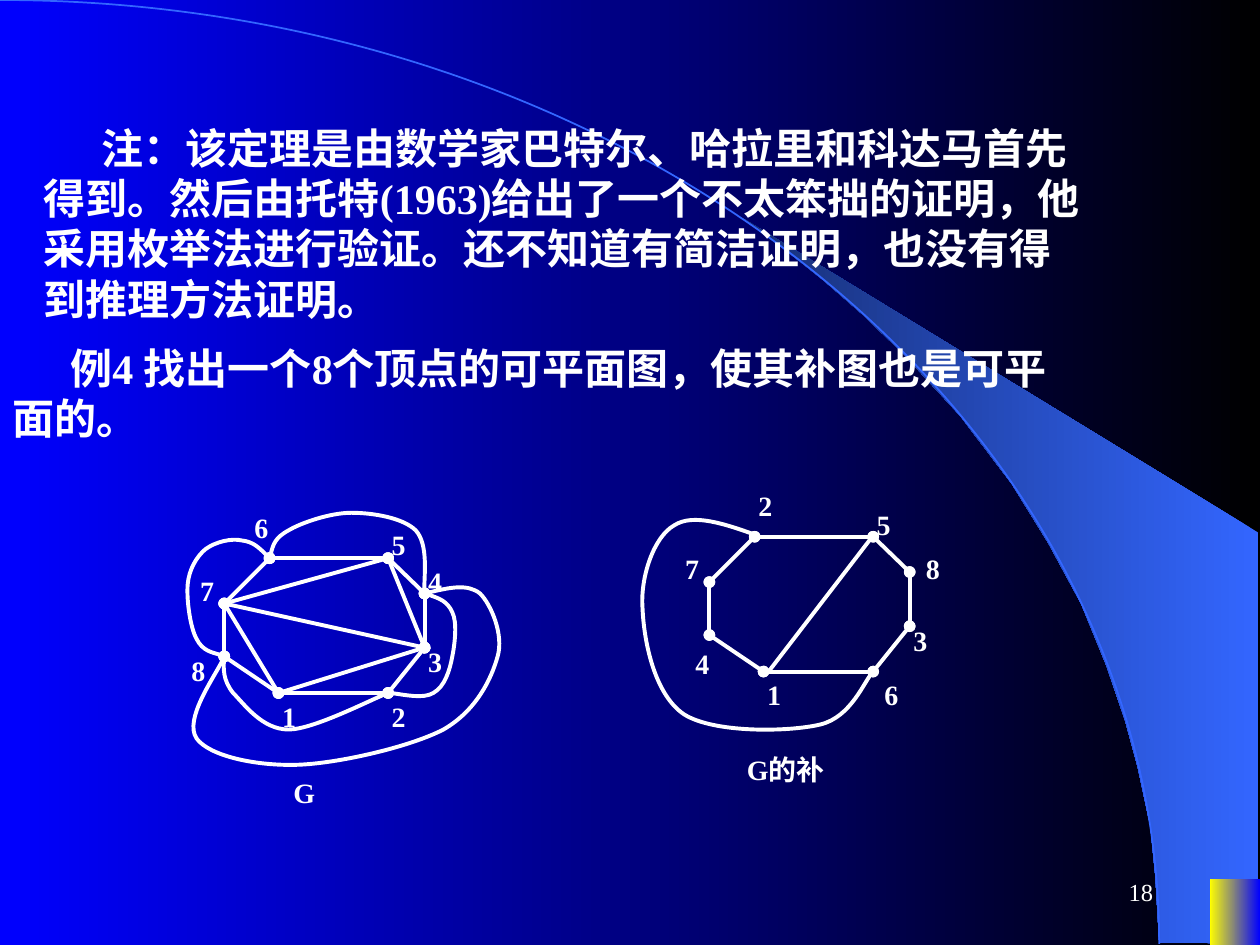
from pptx import Presentation
from pptx.dml.color import RGBColor
from pptx.enum.shapes import MSO_CONNECTOR, MSO_SHAPE
from pptx.enum.text import MSO_ANCHOR, PP_ALIGN
from pptx.oxml.ns import qn
from pptx.util import Inches, Pt
from lxml import etree

LINE, RECT = MSO_CONNECTOR.STRAIGHT, MSO_SHAPE.RECTANGLE
MIDDLE, LEFT, RIGHT = MSO_ANCHOR.MIDDLE, PP_ALIGN.LEFT, PP_ALIGN.RIGHT
WHITE = RGBColor(255, 255, 255)
BLACK = RGBColor(0, 0, 0)
BLUE = RGBColor(0, 0, 255)
YELLOW = RGBColor(255, 255, 0)
SKY = RGBColor(0x33, 0x66, 0xFF)
NAVY = RGBColor(0x17, 0x2F, 0x75)
FACE = "Times New Roman"
BODY = {"name": FACE, "size": Pt(24), "bold": True}
LABEL = {"name": FACE, "size": Pt(16), "bold": True}
FOOT = {"name": FACE, "size": Pt(14), "bold": False}

NOTE = ("注:该定理是由数学家巴特尔、哈拉里和科达马首先得到。然后由托特(1963)给出了一个"
        "不太笨拙的证明,他采用枚举法进行验证。还不知道有简洁证明,也没有得到推理方法证明。"
        ).replace(":", "\uff1a").replace(",", "\uff0c")
TASK = "例4 找出一个8个顶点的可平面图,使其补图也是可平面的。".replace(",", "\uff0c")

RING = [(2.21, 5.5), (3.08, 5.5), (3.37, 5.14), (3.37, 4.71),
        (3.08, 4.43), (2.14, 4.43), (1.78, 4.79), (1.78, 5.21)]
SHIFT = (3.85, -0.17)
CHORDS = [(7, 5), (7, 1), (1, 3), (5, 3), (7, 3)]
CROSS = [(6.93, 4.25), (6.1, 5.33)]

LABELS = [
    ("7", 1.49, 4.5), ("6", 1.92, 4), ("5", 3.01, 4.14), ("4", 3.3, 4.43),
    ("3", 3.3, 5.07), ("2", 3.01, 5.5), ("1", 2.14, 5.5), ("8", 1.42, 5.14),
    ("7", 5.34, 4.33), ("6", 6.92, 5.33), ("5", 6.86, 3.98), ("4", 5.42, 5.08),
    ("3", 7.15, 4.9), ("2", 5.92, 3.83), ("1", 5.99, 5.33), ("8", 7.25, 4.33),
]
NAMES = [("G", 2.23, 6.11, 0.6), ("G的补", 5.83, 5.92, 1.08)]

CURVES = [
    (True, [(3.37, 4.71), (3.54, 4.67), (3.71, 4.63), (3.81, 4.71),
            (3.9, 4.8), (4, 5.04), (3.95, 5.21), (3.9, 5.39), (3.78, 5.64),
            (3.52, 5.79), (3.25, 5.93), (2.68, 6.06), (2.36, 6.07),
            (2.03, 6.08), (1.66, 6), (1.56, 5.86), (1.46, 5.71),
            (1.74, 5.32), (1.78, 5.21)]),
    (True, [(2.14, 4.43), (2.16, 4.35), (2.18, 4.27), (2.29, 4.21),
            (2.39, 4.15), (2.62, 4.07), (2.79, 4.07), (2.96, 4.07),
            (3.2, 4.11), (3.3, 4.21), (3.4, 4.32), (3.36, 4.63), (3.37, 4.71)]),
    (True, [(2.14, 4.43), (2.07, 4.36), (2.01, 4.3), (1.92, 4.29),
            (1.84, 4.27), (1.71, 4.3), (1.63, 4.36), (1.56, 4.42),
            (1.5, 4.52), (1.49, 4.64), (1.48, 4.76), (1.51, 4.98),
            (1.56, 5.07), (1.61, 5.17), (1.74, 5.19), (1.78, 5.21)]),
    (True, [(3.37, 4.71), (3.46, 4.74), (3.55, 4.77), (3.59, 4.86),
            (3.63, 4.94), (3.61, 5.11), (3.59, 5.21), (3.57, 5.32),
            (3.53, 5.45), (3.44, 5.5), (3.36, 5.55), (3.14, 5.5), (3.08, 5.5)]),
    (False, [(1.78, 5.21), (1.77, 5.31), (1.77, 5.4), (1.85, 5.5),
             (1.94, 5.59), (2.08, 5.79), (2.29, 5.79), (2.49, 5.79),
             (2.95, 5.55), (3.08, 5.5)]),
    (False, [(6.01, 4.25), (5.76, 4.16), (5.5, 4.07), (5.35, 4.17),
             (5.19, 4.26), (5.08, 4.58), (5.1, 4.83), (5.11, 5.08),
             (5.19, 5.51), (5.43, 5.67), (5.67, 5.82), (6.26, 5.81),
             (6.51, 5.75), (6.76, 5.69), (6.86, 5.4), (6.93, 5.33)]),
]
ARC = [(0, 0), (5.08, 0), (9.2, 3.35), (9.2, 7.49)]
WEDGE = [(9.2, 7.48), (9.99, 7.49), (9.99, 4.23), (5.89, 1.73), (6.24, 1.99),
         (6.53, 2.22), (6.85, 2.5), (7.16, 2.8), (7.62, 3.3), (8.03, 3.84),
         (8.32, 4.31), (8.58, 4.79), (8.78, 5.28), (8.93, 5.72),
         (9.03, 6.09), (9.13, 6.56), (9.17, 6.96)]

deck = Presentation()
deck.slide_width, deck.slide_height = Inches(10), Inches(7.5)
slide = deck.slides.add_slide(deck.slide_layouts[6])
shapes = slide.shapes


def blend(fill, *tones):
    fill.gradient()
    fill.gradient_angle = 180
    for stop, tone in zip(fill.gradient_stops, tones):
        stop.color.rgb = tone


def stroke(shape, tone=WHITE, width=2.25, dots=False):
    shape.line.color.rgb = tone
    shape.line.width = Pt(width)
    if dots:
        ln = shape.line._get_or_add_ln()
        for end in ("a:headEnd", "a:tailEnd"):
            etree.SubElement(ln, qn(end)).set("type", "oval")


def outline(points, close):
    spots = [(Inches(x), Inches(y)) for x, y in points]
    pen = shapes.build_freeform(*spots[0], scale=1.0)
    pen.add_line_segments(spots[1:], close=close)
    shape = pen.convert_to_shape()
    shape.shadow.inherit = False
    return shape


def curve(points, **style):
    shape = outline(points, False)
    shape.fill.background()
    route = next(shape._element.iter(qn("a:path")))
    steps = route.findall(qn("a:lnTo"))
    for i in range(0, len(steps), 3):
        bend = etree.SubElement(route, qn("a:cubicBezTo"))
        for step in steps[i:i + 3]:
            bend.append(step[0])
            route.remove(step)
    stroke(shape, **style)


def edge(start, end, dots=True):
    link = shapes.add_connector(LINE, *[Inches(v) for v in (*start, *end)])
    stroke(link, dots=dots)
    etree.SubElement(link._element.spPr, qn("a:effectLst"))


def write(words, box, form, indent=0, align=LEFT, anchor=None):
    frame = shapes.add_textbox(*[Inches(v) for v in box]).text_frame
    frame.word_wrap = True
    if anchor is not None:
        frame.vertical_anchor = anchor
    para = frame.paragraphs[0]
    para.alignment = align
    if indent:
        para._p.get_or_add_pPr().set("indent", str(Inches(indent)))
    run = para.add_run()
    run.text = words
    run.font.color.rgb = WHITE
    for key, value in form.items():
        setattr(run.font, key, value)


blend(slide.background.fill, BLACK, BLUE)
wedge = outline(WEDGE, True)
blend(wedge.fill, SKY, NAVY)
wedge.line.fill.background()
curve(ARC, tone=SKY, width=1)
block = shapes.add_shape(RECT, *[Inches(v) for v in (9.6, 6.98, 0.4, 0.52)])
block.shadow.inherit = False
blend(block.fill, BLUE, YELLOW)
block.line.fill.background()

write(NOTE, (0.25, 0.92, 8.5, 1.7), BODY, indent=0.46)
write(TASK, (0, 2.67, 8.5, 0.9), BODY, indent=0.46)

twin = [(x + SHIFT[0], y + SHIFT[1]) for x, y in RING]
for ring in (RING, twin):
    for i, spot in enumerate(ring):
        edge(ring[i - 1], spot)
for a, b in CHORDS:
    edge(RING[a - 1], RING[b - 1])
edge(*CROSS, dots=False)
for dots, points in CURVES:
    curve(points, dots=dots)

for words, x, y in LABELS:
    write(words, (x, y, 0.3, 0.37), LABEL)
for words, x, y, wide in NAMES:
    write(words, (x, y, wide, 0.37), LABEL)
write("18", (7.17, 6.83, 2.08, 0.5), FOOT, align=RIGHT, anchor=MIDDLE)

deck.save("out.pptx")
